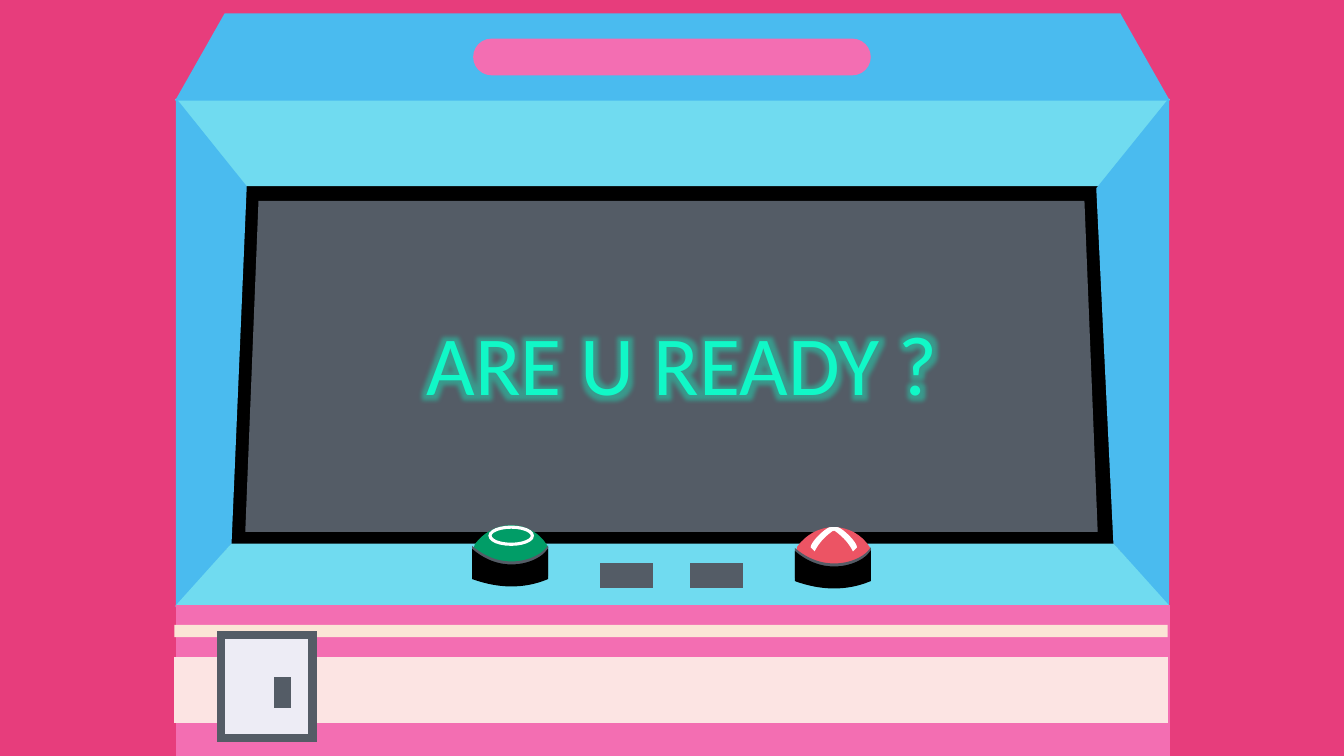
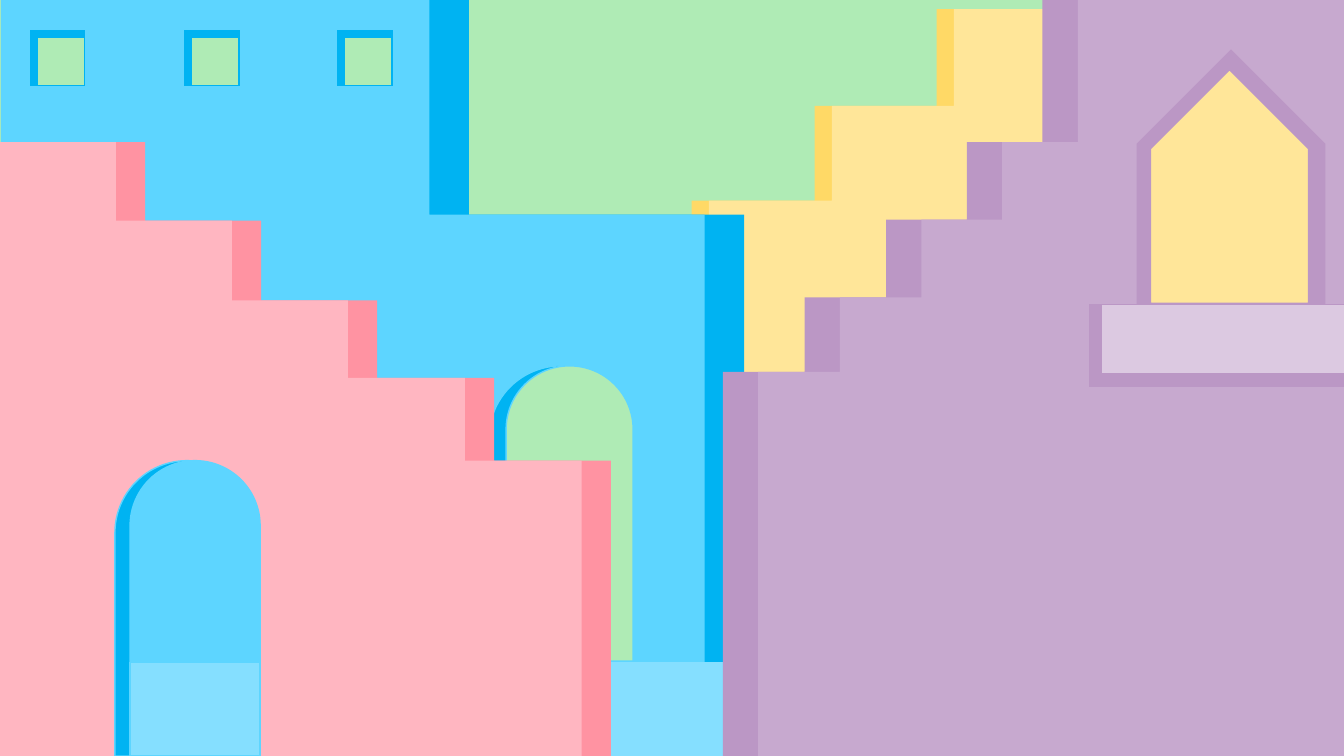
"""Build two flat illustrations: an arcade cabinet and a pastel stairway town."""
from lxml.etree import SubElement
from pptx import Presentation
from pptx.dml.color import RGBColor
from pptx.enum.shapes import MSO_SHAPE
from pptx.enum.text import PP_ALIGN
from pptx.oxml.ns import qn
from pptx.util import Pt

PX = 9144
WIDTH, HEIGHT = 1333, 750
COLORS = {
    "magenta": "E73D7C", "black": "000000", "white": "FFFFFF",
    "aqua": "70DBF0", "azure": "4ABBEF", "pink": "F36EB2",
    "blush": "FCE4E3", "cream": "FBE5D6", "slate": "545C66", "steel": "43739E",
    "neon": "11F8C7", "panel": "EDECF5", "green": "019D67", "red": "EC5464",
    "mint": "AFEBB5", "gold": "FFD966", "butter": "FFE699",
    "blue": "00B3F2", "sky": "5DD5FF", "water": "85DFFF",
    "coral": "FF93A2", "rose": "FFB6C1",
    "plum": "BB97C5", "lilac": "C7A9CF", "mist": "DCC9E1",
}
RECT = MSO_SHAPE.RECTANGLE
TRAPEZOID = MSO_SHAPE.TRAPEZOID
ARCH = MSO_SHAPE.ROUND_2_SAME_RECTANGLE
GABLE = MSO_SHAPE.SNIP_2_SAME_RECTANGLE


def rgb(name):
    return RGBColor.from_string(COLORS[name])


def new_slide(prs, color):
    s = prs.slides.add_slide(prs.slide_layouts[6])
    s.background.fill.solid()
    s.background.fill.fore_color.rgb = rgb(color)
    return s


def paint(sp, fill, line=None, width=1):
    """Fill and outline a shape; the outline takes the fill colour by default."""
    sp.shadow.inherit = False
    if fill:
        sp.fill.solid()
        sp.fill.fore_color.rgb = rgb(fill)
    else:
        sp.fill.background()
    if width:
        sp.line.color.rgb = rgb(line or fill)
        sp.line.width = Pt(width)
        ln = sp._element.spPr.find(qn("a:ln"))
        SubElement(ln, qn("a:miter"), lim="800000")
    else:
        sp.line.fill.background()


def add_preset(s, kind, box, fill, line=None, width=1, adj=(), rotation=0):
    sp = s.shapes.add_shape(kind, *(v * PX for v in box))
    for i, value in enumerate(adj):
        sp.adjustments[i] = value
    sp.rotation = rotation
    paint(sp, fill, line, width)


def bend(lines):
    """Turn three line segments into one cubic curve."""
    parent = lines[0].getparent()
    curve = parent.makeelement(qn("a:cubicBezTo"))
    parent.replace(lines[0], curve)
    for line in lines:
        curve.append(line[0])
    for line in lines[1:]:
        parent.remove(line)


def add_outline(s, path, fill, width=0):
    """Draw a closed outline; a pair is a corner, six numbers are a curve."""
    points = [(round(step[i] * PX), round(step[i + 1] * PX))
              for step in path for i in range(0, len(step), 2)]
    builder = s.shapes.build_freeform(*points[0], scale=1.0)
    builder.add_line_segments(points[1:], close=True)
    sp = builder.convert_to_shape()
    lines = list(sp._element.iter(qn("a:lnTo")))
    at = 0
    for step in path[1:]:
        count = len(step) // 2
        if count == 3:
            bend(lines[at:at + 3])
        at += count
    paint(sp, fill, width=width)


def move(path, dx, dy):
    return [tuple(v + (dx, dy)[i % 2] for i, v in enumerate(step)) for step in path]


def mirror(path, axis):
    return [tuple(v if i % 2 else 2 * axis - v for i, v in enumerate(step))
            for step in path]


def add_glowing_text(s, box, text, size, color):
    tf = s.shapes.add_textbox(*(v * PX for v in box)).text_frame
    tf.word_wrap = True
    p = tf.paragraphs[0]
    p.alignment = PP_ALIGN.CENTER
    r = p.add_run()
    r.text = text
    r.font.size = Pt(size)
    r.font.color.rgb = rgb(color)
    effects = SubElement(r.font._element, qn("a:effectLst"))
    glow = SubElement(effects, qn("a:glow"), rad="139700")
    clr = SubElement(glow, qn("a:srgbClr"), val=COLORS[color])
    SubElement(clr, qn("a:alpha"), val="40000")
    r.font.name = "Calibri"


def add_button(s, x, y, color):
    dome = [(1, 22), (2, 19), (10, 8, 23, 0, 38, 0), (53, 0, 66, 8, 73, 19),
            (75, 22), (73, 25), (66, 36, 53, 44, 38, 44), (23, 44, 10, 36, 2, 25)]
    base = [(0, 22), (31, 48, 66, 34, 74, 22), (74, 50), (50, 60, 25, 59, 0, 50)]
    add_outline(s, move(dome, x, y), color)
    add_outline(s, move(base, x, y), "slate", 1)
    add_outline(s, move(base, x, y + 3), "black", 1)


def add_stairs(s, start, corners, bottom, dx, shade, face):
    """Draw a stepped wall with a shade of the same outline shifted by dx."""
    path = [(start, bottom)]
    for x, y in corners:
        path += [(path[-1][0], y), (x, y)]
    path.append((path[-1][0], bottom))
    add_outline(s, move(path, dx, 0), shade)
    add_outline(s, path, face)


def build_arcade(prs):
    s = new_slide(prs, "magenta")
    add_preset(s, RECT, (219, 155, 915, 420), "black", "steel")
    add_preset(s, TRAPEZOID, (175, 99, 984, 85), "aqua", adj=[0.806], rotation=180)
    add_outline(s, [(175, 99), (244, 185), (229, 539), (175, 601)], "azure", 1)
    add_outline(s, [(1159, 99), (1088, 187), (1105, 539), (1159, 601)], "azure", 1)
    add_preset(s, TRAPEZOID, (175, 540, 984, 61), "aqua", adj=[0.898])
    add_preset(s, TRAPEZOID, (175, 14, 984, 85), "azure", adj=[0.567])
    add_preset(s, RECT, (175, 601, 985, 149), "pink")
    add_preset(s, RECT, (173, 652, 985, 65), "blush")
    add_preset(s, TRAPEZOID, (244, 200, 844, 327), "slate", adj=[0.04])
    add_preset(s, RECT, (173, 620, 985, 12), "cream", width=0)
    add_glowing_text(s, (298, 304, 757, 111), "ARE U READY ?", 60, "neon")
    for x in (596, 685):
        add_preset(s, RECT, (x, 559, 51, 24), "slate")
    add_preset(s, RECT, (219, 630, 91, 102), "panel", "slate", 6)
    add_preset(s, RECT, (272, 672, 16, 30), "slate")
    add_preset(s, MSO_SHAPE.ROUNDED_RECTANGLE, (470, 39, 393, 35), "pink", adj=[0.5])
    add_button(s, 469, 521, "green")
    add_button(s, 789, 523, "red")
    add_preset(s, MSO_SHAPE.OVAL, (486, 523, 42, 17), None, "white", 2.25)
    stroke = [(823, 523), (827, 526), (820, 531, 813, 537, 808, 547),
              (804, 543), (804, 538, 817, 525, 823, 523)]
    for path in (stroke, mirror(stroke, 827)):
        add_outline(s, path, "white")
    add_preset(s, MSO_SHAPE.ISOSCELES_TRIANGLE, (823, 523, 8, 4), "white",
               width=0, rotation=180)


def build_town(prs):
    s = new_slide(prs, "mint")
    add_stairs(s, 1327, [(1068, -87), (946, 9), (825, 105), (703, 199), (580, 299)],
               656, -17, "gold", "butter")
    add_stairs(s, 1, [(426, 0), (699, 213)], 657, 39, "blue", "sky")
    for x in (30, 183, 335):
        add_preset(s, RECT, (x, 31, 54, 54), "blue")
        add_preset(s, RECT, (x + 7, 37, 47, 48), "mint", "blue")
    add_preset(s, ARCH, (485, 363, 143, 293), "blue", "sky", adj=[0.5, 0])
    add_preset(s, ARCH, (502, 363, 126, 293), "mint", "sky", adj=[0.5, 0])
    add_preset(s, RECT, (0, 657, WIDTH, 93), "water", width=0)
    add_stairs(s, 0, [(115, 141), (230, 219), (345, 298), (461, 375), (577, 457)],
               HEIGHT, 29, "coral", "rose")
    add_preset(s, ARCH, (114, 457, 143, 293), "blue", "sky", adj=[0.5, 0])
    add_preset(s, ARCH, (129, 457, 129, 200), "sky", adj=[0.5, 0])
    add_preset(s, RECT, (129, 657, 129, 93), "water", "sky")
    add_stairs(s, 1422, [(1069, 0), (994, 141), (914, 218), (833, 295), (752, 369)],
               HEIGHT, -35, "plum", "lilac")
    add_preset(s, GABLE, (1128, 50, 186, 252), "plum", adj=[0.5, 0])
    add_preset(s, GABLE, (1141, 69, 157, 232), "butter", "plum", adj=[0.5, 0])
    add_preset(s, RECT, (1081, 302, 275, 81), "plum")
    add_preset(s, RECT, (1092, 302, 264, 69), "mist", "plum")


def main():
    prs = Presentation()
    prs.slide_width, prs.slide_height = WIDTH * PX, HEIGHT * PX
    build_arcade(prs)
    build_town(prs)
    prs.save("out.pptx")


if __name__ == "__main__":
    main()
